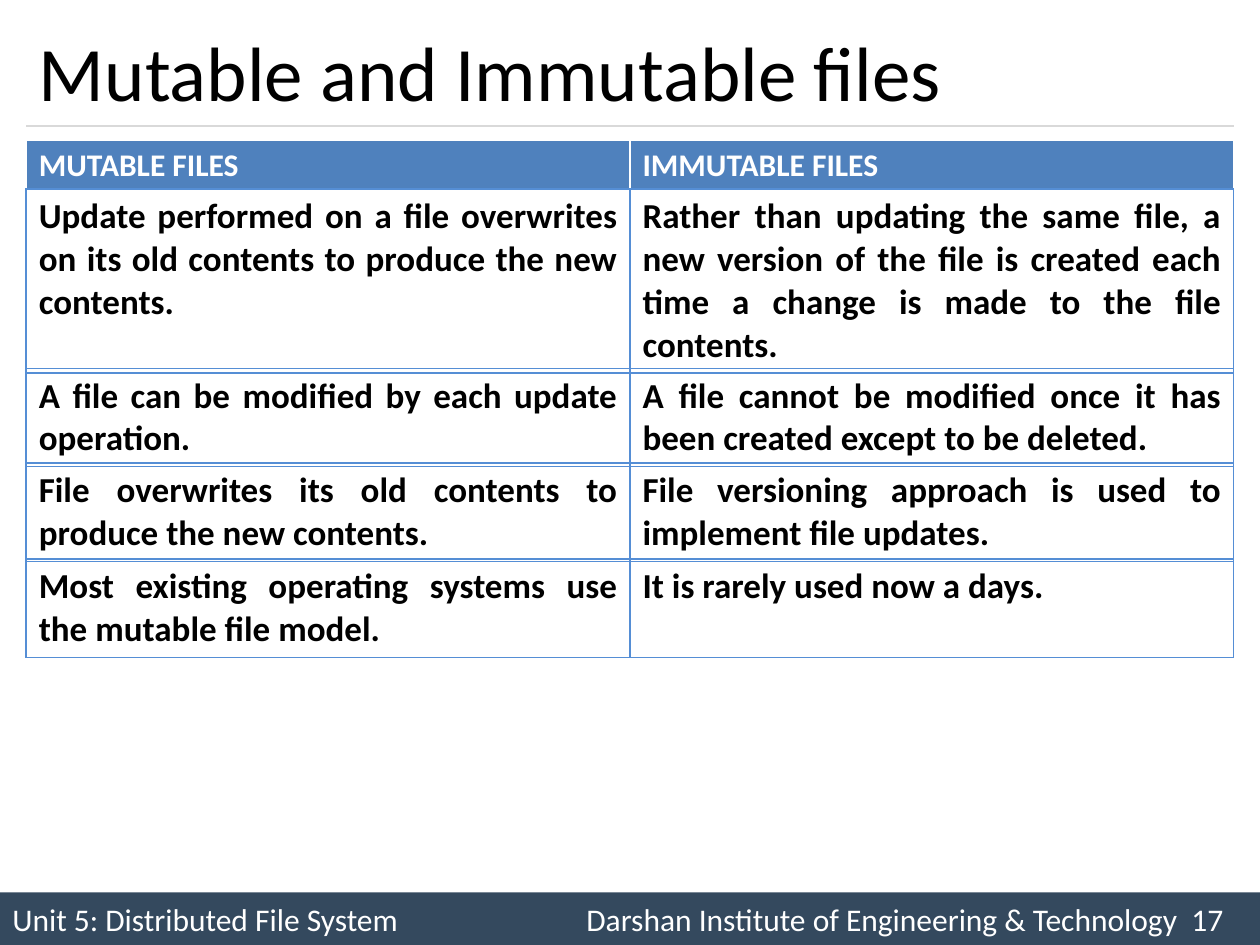
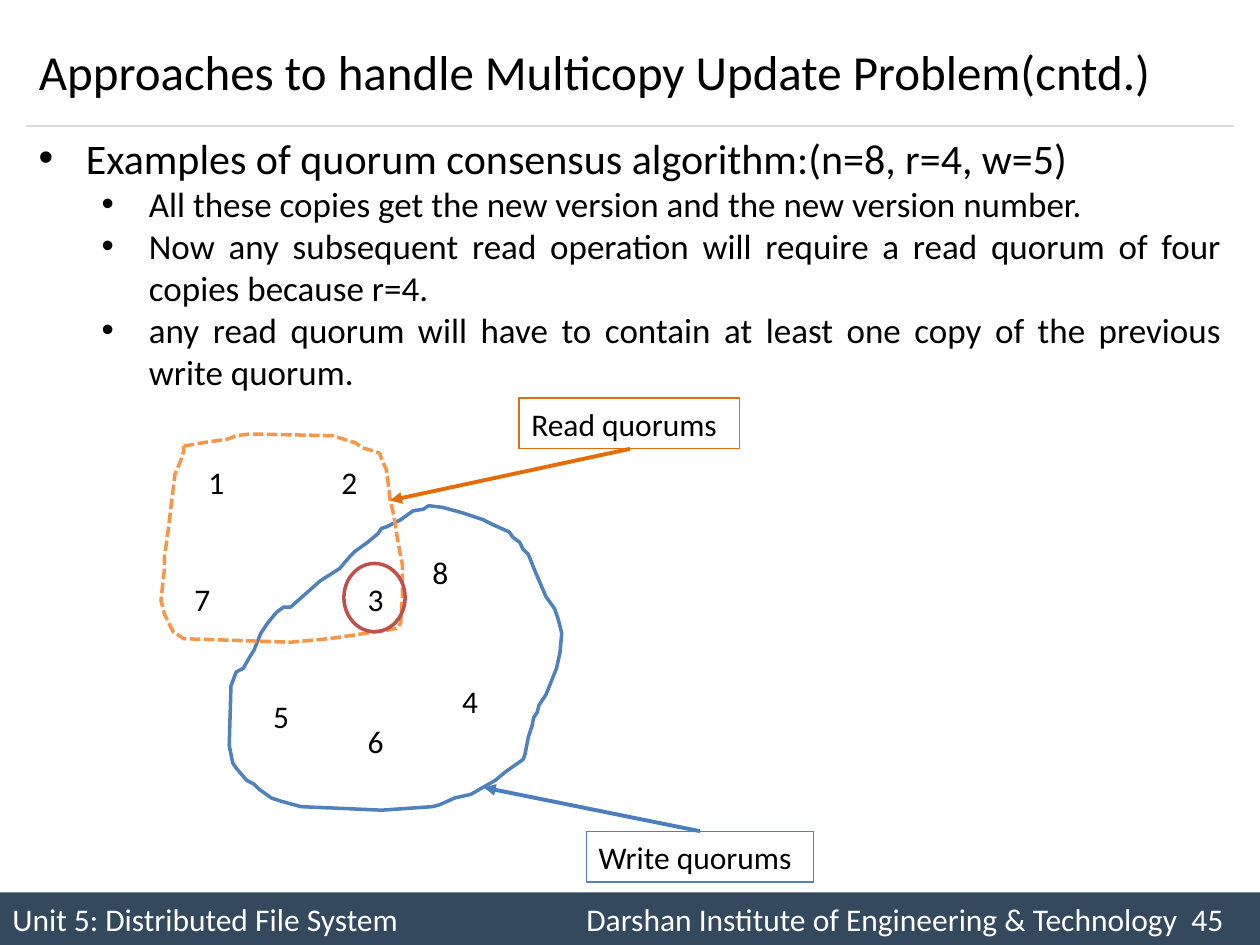
from dataclasses import dataclass

from lxml import etree
from pptx import Presentation
from pptx.dml.color import RGBColor as RGB
from pptx.enum.dml import MSO_LINE as Dash
from pptx.enum.shapes import MSO_CONNECTOR as Conn, MSO_SHAPE as Shape
from pptx.enum.text import MSO_ANCHOR as Anchor, PP_ALIGN as Align
from pptx.oxml.ns import qn
from pptx.util import Pt


@dataclass(frozen=True)
class Theme:
    font: str = "Calibri"
    black: str = "000000"
    white: str = "FFFFFF"
    band: str = "34495E"
    rule: str = "D9D9D9"
    blue: str = "4F81BD"
    arrow_blue: str = "4B7EBC"
    border: str = "558ED5"
    orange: str = "E46C0A"
    dash_orange: str = "F79646"
    red: str = "C0504D"
    title: int = 44
    long_title: int = 28
    lead: int = 24
    body: int = 20
    small: int = 18


T = Theme()
LEFT, WIDTH = 15, 690


def sub(parent, tag, **attrs):
    el = etree.SubElement(parent, qn(tag))
    for name, value in attrs.items():
        el.set(name, str(value))
    return el


def write(p, text, size=T.small, color=T.black, bold=False, align=Align.LEFT,
          indent=0, bullet=None, tabs=()):
    """Fill paragraph p with text; tabs is a list of (position, alignment)."""
    p.alignment = align
    pPr = p._p.get_or_add_pPr()
    if bullet:
        pPr.set("marL", str(Pt(indent)))
        pPr.set("indent", str(Pt(-27)))
        sub(pPr, "a:buFont", typeface="Arial")
        sub(pPr, "a:buChar", char=bullet)
    if tabs:
        stops = sub(pPr, "a:tabLst")
        for pos, algn in tabs:
            sub(stops, "a:tab", pos=Pt(pos), algn=algn)
    r = p.add_run()
    r.text = text
    f = r.font
    f.name, f.size, f.bold = T.font, Pt(size), bold
    f.color.rgb = RGB.from_string(color)


class Deck:
    def __init__(self, theme):
        self.theme = theme
        self.prs = Presentation()
        self.prs.slide_width, self.prs.slide_height = Pt(720), Pt(540)
        self.s = None

    def slide(self, title, number, size):
        t = self.theme
        self.s = self.prs.slides.add_slide(self.prs.slide_layouts[5])
        # Title
        sp = self.s.shapes.title
        sp.left, sp.top, sp.width, sp.height = Pt(LEFT), Pt(9), Pt(WIDTH), Pt(63)
        sp.text_frame.vertical_anchor = Anchor.MIDDLE
        write(sp.text_frame.paragraphs[0], title, size=size)
        # Footer band and title rule
        band = self.shape(Shape.RECTANGLE, 0, 510, 720, 30, fill=t.band)
        band.text_frame.vertical_anchor = Anchor.MIDDLE
        write(band.text_frame.paragraphs[0],
              "Unit 5: Distributed File System\t"
              f"Darshan Institute of Engineering & Technology\t{number}",
              color=t.white, tabs=[(328, "l"), (692, "r")])
        self.line((LEFT, 72), (LEFT + WIDTH, 72), t.rule, 0.75)

    def outline(self, sp, color, weight, dash=None):
        sp.line.color.rgb = RGB.from_string(color)
        sp.line.width = Pt(weight)
        if dash:
            sp.line.dash_style = dash

    def shape(self, kind, x, y, w, h, fill=None, line=None, weight=0.75):
        sp = self.s.shapes.add_shape(kind, Pt(x), Pt(y), Pt(w), Pt(h))
        sp.shadow.inherit = False
        if fill:
            sp.fill.solid()
            sp.fill.fore_color.rgb = RGB.from_string(fill)
        else:
            sp.fill.background()
        if line:
            self.outline(sp, line, weight)
        else:
            sp.line.fill.background()
        return sp

    def callout(self, text, x, y, w, color):
        sp = self.shape(Shape.RECTANGLE, x, y, w, 29, line=color)
        write(sp.text_frame.paragraphs[0], text)

    def text(self, x, y, w, h, items):
        """Add a text box; items is a list of (text, format)."""
        tf = self.s.shapes.add_textbox(Pt(x), Pt(y), Pt(w), Pt(h)).text_frame
        tf.word_wrap = True
        for i, (text, fmt) in enumerate(items):
            write(tf.add_paragraph() if i else tf.paragraphs[0], text, **fmt)

    def line(self, start, end, color, weight, arrow=False):
        cn = self.s.shapes.add_connector(
            Conn.STRAIGHT, *(Pt(v) for v in (*start, *end)))
        self.outline(cn, color, weight)
        if arrow:
            sub(cn.line._get_or_add_ln(), "a:tailEnd", type="triangle")
        sub(cn._element.spPr, "a:effectLst")

    def freeform(self, points, color, dash=None):
        fb = self.s.shapes.build_freeform(*points[0], scale=Pt(1))
        fb.add_line_segments(points[1:], close=True)
        sp = fb.convert_to_shape()
        sp.shadow.inherit = False
        sp.fill.background()
        self.outline(sp, color, 2, dash)

    def table_row(self, y, h, cells, borders, fill=None, **fmt):
        """Add a one-row table; borders are (side, colour, weight)."""
        tb = self.s.shapes.add_table(
            1, len(cells), Pt(LEFT), Pt(y), Pt(WIDTH), Pt(h)).table
        tb.first_row = tb.horz_banding = False
        for cell, (text, align) in zip(tb.rows[0].cells, cells):
            write(cell.text_frame.paragraphs[0], text, align=align, **fmt)
            tcPr = cell._tc.get_or_add_tcPr()
            for side, color, weight in borders:
                ln = sub(tcPr, f"a:ln{side}", w=Pt(weight))
                sub(sub(ln, "a:solidFill"), "a:srgbClr", val=color)
            if fill:
                cell.fill.solid()
                cell.fill.fore_color.rgb = RGB.from_string(fill)
            else:
                cell.fill.background()


def mutable_files(d):
    d.slide("Mutable and Immutable files", 17, T.title)
    # Header row
    white = [(side, T.white, 3 if side == "B" else 1) for side in "LRTB"]
    d.table_row(80, 29, [("MUTABLE FILES", Align.LEFT),
                         ("IMMUTABLE FILES", Align.LEFT)],
                white, fill=T.blue, color=T.white, bold=True)
    # Comparison rows
    rows = [
        (108, 103,
         "Update performed on a file overwrites on its old contents to "
         "produce the new contents.",
         "Rather than updating the same file, a new version of the file is "
         "created each time a change is made to the file contents."),
        (210.5, 55.5, "A file can be modified by each update operation.",
         "A file cannot be modified once it has been created except to be "
         "deleted."),
        (264.5, 55.5,
         "File overwrites its old contents to produce the new contents.",
         "File versioning approach is used to implement file updates."),
        (319.5, 55.5,
         "Most existing operating systems use the mutable file model.",
         "It is rarely used now a days."),
    ]
    blue = [(side, T.border, 1) for side in "LRTB"]
    for y, h, *texts in rows:
        d.table_row(y, h, [(text, Align.JUSTIFY) for text in texts], blue,
                    size=T.body, bold=True)


WRITE_OUTLINE = [
    (166, 347), (183, 332), (194, 325), (200, 318), (203, 315), (210, 310),
    (216, 305), (218, 302), (221, 301), (229, 297), (236, 292), (242, 291),
    (245, 289), (253, 290), (264, 293), (270, 295), (276, 297), (282, 300),
    (291, 304), (293, 307), (297, 310), (299, 314), (302, 317), (306, 327),
    (312, 341), (317, 348), (319, 354), (321, 362), (320, 373), (318, 382),
    (314, 392), (312, 397), (308, 403), (307, 407), (305, 410), (304, 415),
    (302, 421), (300, 431), (299, 434), (289, 441), (283, 446), (276, 450),
    (269, 454), (260, 456), (251, 460), (247, 461), (218, 463), (195, 462),
    (172, 461), (161, 458), (155, 456), (148, 451), (145, 448), (141, 446),
    (135, 439), (133, 436), (132, 431), (131, 426), (132, 392), (135, 384),
    (139, 382), (143, 375), (145, 372), (149, 362), (153, 356), (158, 350),
    (162, 347),
]
READ_OUTLINE = [
    (105, 255), (116, 253), (130, 251), (135, 249), (143, 248), (190, 249),
    (203, 253), (207, 256), (211, 257), (217, 259), (218, 262), (221, 269),
    (223, 286), (225, 294), (227, 307), (229, 318), (230, 323), (230, 340),
    (229, 356), (227, 359), (222, 360), (202, 363), (188, 365), (166, 367),
    (105, 365), (99, 361), (94, 351), (92, 343), (94, 325), (94, 318),
    (96, 304), (100, 271), (103, 264), (105, 258),
]


def quorum_example(d):
    d.slide("Approaches to handle Multicopy Update Problem(cntd.)", 45,
            T.long_title)
    # Quorum outlines
    d.freeform(WRITE_OUTLINE, T.blue)
    d.freeform(READ_OUTLINE, T.dash_orange, Dash.SQUARE_DOT)
    # Numbered copies
    copies = [(112, 261), (188, 261), (203, 328), (257, 386),
              (149, 395), (203, 409), (104, 328), (240, 312.5)]
    for n, (x, y) in enumerate(copies, 1):
        d.text(x, y, 24, 29, [(str(n), {})])
    # Callouts and arrows
    d.callout("Write quorums", 335, 475, 130, T.blue)
    d.callout("Read quorums", 296.5, 227.5, 126, T.orange)
    d.line((400, 475), (276.5, 450), T.arrow_blue, 2.25, arrow=True)
    d.line((360, 256.5), (223, 286), T.orange, 2.25, arrow=True)
    # Explanation
    lead = dict(size=T.lead, align=Align.JUSTIFY, indent=27, bullet="•")
    point = dict(lead, size=T.body, indent=63)
    d.text(LEFT, 72, WIDTH, 158, [
        ("Examples of quorum consensus algorithm:(n=8, r=4, w=5)", lead),
        ("All these copies get the new version and the new version number.",
         point),
        ("Now any subsequent read operation will require a read quorum of "
         "four copies because r=4.", point),
        ("any read quorum will have to contain at least one copy of the "
         "previous write quorum.", point),
    ])
    # Shared copy
    d.shape(Shape.OVAL, 196.5, 322, 35, 39, line=T.red, weight=2)


def main():
    d = Deck(T)
    mutable_files(d)
    quorum_example(d)
    d.prs.save("out.pptx")


if __name__ == "__main__":
    main()
